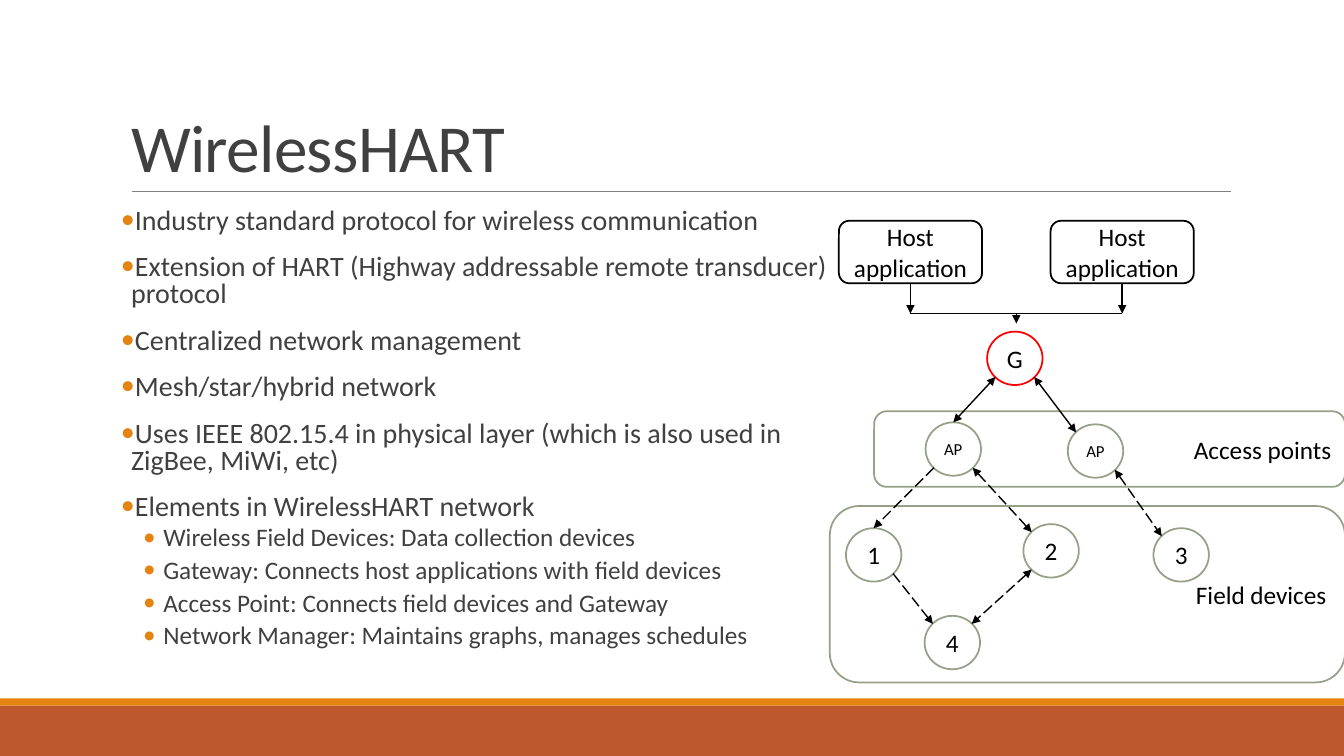
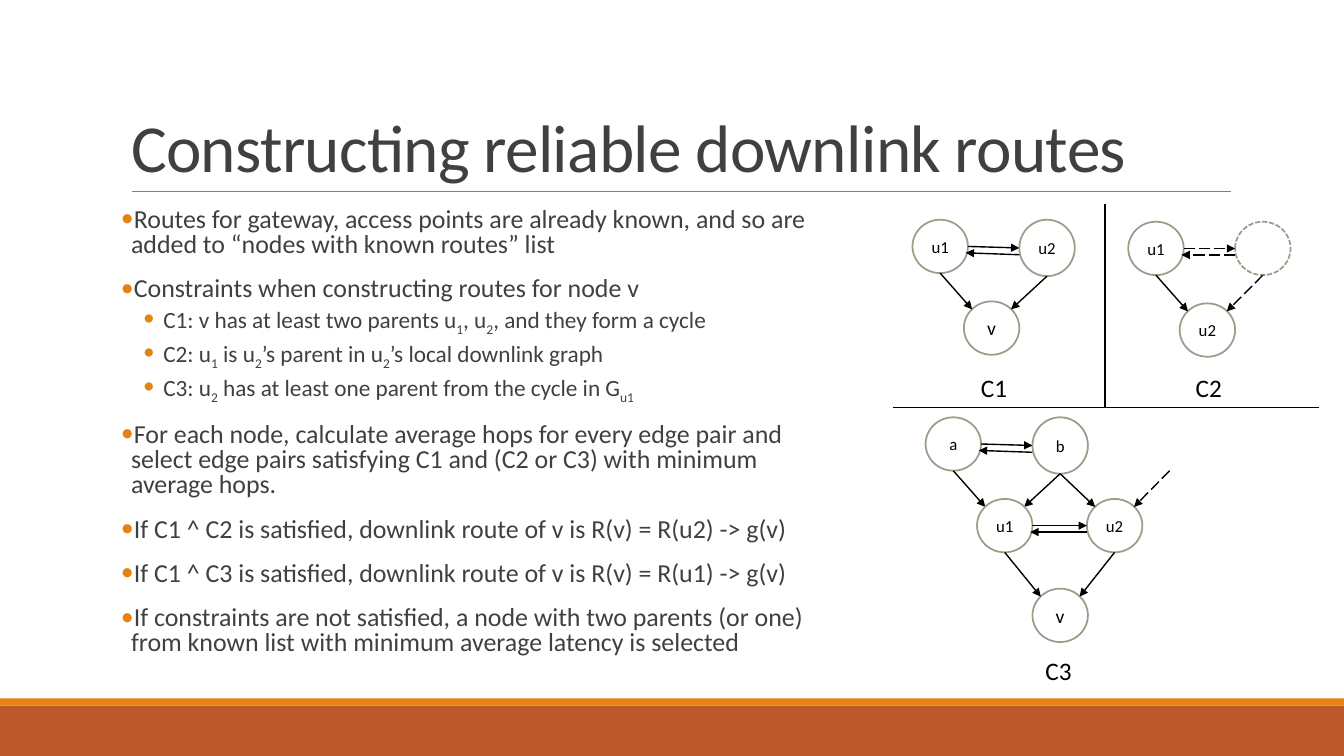
from lxml import etree
from pptx import Presentation
from pptx.dml.color import RGBColor
from pptx.enum.dml import MSO_LINE
from pptx.enum.shapes import MSO_CONNECTOR, MSO_SHAPE
from pptx.enum.text import MSO_ANCHOR, MSO_AUTO_SIZE, PP_ALIGN
from pptx.oxml.ns import qn
from pptx.util import Inches, Pt

BLACK = RGBColor(0x00, 0x00, 0x00)
WHITE = RGBColor(0xFF, 0xFF, 0xFF)
RED = RGBColor(0xFF, 0x00, 0x00)
GRAY = RGBColor(0x80, 0x80, 0x80)
CHARCOAL = RGBColor(0x40, 0x40, 0x40)
SAGE = RGBColor(0x94, 0xA0, 0x88)
ORANGE = RGBColor(0xE4, 0x83, 0x12)
RUST = RGBColor(0xBD, 0x58, 0x2C)

OVAL, RECTANGLE, ROUNDED = MSO_SHAPE.OVAL, MSO_SHAPE.RECTANGLE, MSO_SHAPE.ROUNDED_RECTANGLE
STRAIGHT = MSO_CONNECTOR.STRAIGHT
LONG_DASH, SHORT_DASH = MSO_LINE.LONG_DASH, MSO_LINE.SQUARE_DOT
LEFT, CENTER, RIGHT = PP_ALIGN.LEFT, PP_ALIGN.CENTER, PP_ALIGN.RIGHT
TOP, MIDDLE, BOTTOM = MSO_ANCHOR.TOP, MSO_ANCHOR.MIDDLE, MSO_ANCHOR.BOTTOM
NO_FIT = MSO_AUTO_SIZE.NONE

FONT = "Calibri"
NODE_WIDTH, NODE_HEIGHT = 0.55, 0.53
SITES = {
    "top": (0.5, 0), "bottom": (0.5, 1), "left": (0, 0.5), "right": (1, 0.5),
    "top left": (0.15, 0.15), "top right": (0.85, 0.15),
    "bottom left": (0.15, 0.85), "bottom right": (0.85, 0.85),
    "low left": (0, 0.62), "low right": (0.96, 0.62),
}
LEVELS = [
    {"margin": 0.1, "hang": 0.1, "before": 12, "after": 2},
    {"margin": 0.42, "hang": 0.2, "before": 2, "after": 4},
]


def apply(target, values):
    for name, value in values.items():
        setattr(target, name, value)


def point(shape, site):
    across, down = SITES[site]
    return (shape.left.inches + across * shape.width.inches,
            shape.top.inches + down * shape.height.inches)


class Slides:
    """Holds the deck, its style and the current page."""

    def __init__(self):
        self.deck = Presentation()
        apply(self.deck, {"slide_width": Inches(13.33), "slide_height": Inches(7.5)})
        self.layout = self.deck.slide_layouts[1]
        self.page = None

    def add_page(self, title, body_size, items):
        first = self.page is None
        self.page = self.deck.slides.add_slide(self.layout)
        if first:
            self.add_frame()
        self.add_title(title)
        self.add_list(body_size, items)

    def add_frame(self):
        parts = [
            self.add_box(RECTANGLE, (0, 7, 13.33, 0.5), fill=RUST, outline=None),
            self.add_box(RECTANGLE, (0, 6.93, 13.33, 0.07), fill=ORANGE, outline=None),
            self.add_line((1.31, 1.9), (12.21, 1.9), color=GRAY, width=0.5),
        ]
        for part in parts:
            self.layout.shapes.element.append(part.element)

    def place(self, shape, area):
        apply(shape, dict(zip(("left", "top", "width", "height"), map(Inches, area))))

    def add_span(self, para, text, size, color=BLACK):
        span = para.add_run()
        span.text = text
        apply(span.font, {"name": FONT, "size": Pt(size)})
        span.font.color.rgb = color
        return span

    def add_title(self, text):
        box = self.page.shapes.title
        self.place(box, (1.2, 0.31, 11, 1.59))
        apply(box.text_frame, {"vertical_anchor": BOTTOM, "auto_size": NO_FIT})
        para = box.text_frame.paragraphs[0]
        apply(para, {"alignment": LEFT, "line_spacing": 0.85})
        span = self.add_span(para, text, 48, CHARCOAL)
        span._r.get_or_add_rPr().set("spc", "-50")

    def add_list(self, sizes, items):
        box = self.page.placeholders[1]
        self.place(box, (1.2, 2.02, 7.06, 4.8))
        frame = box.text_frame
        apply(frame, {"margin_left": 0, "margin_right": 0, "vertical_anchor": TOP,
                      "auto_size": NO_FIT, "word_wrap": True})
        for index, (level, text) in enumerate(items):
            para = frame.add_paragraph() if index else frame.paragraphs[0]
            self.format_item(para, level)
            for part, words in enumerate(text.split("|")):
                span = self.add_span(para, words, sizes[level], CHARCOAL)
                if part % 2:
                    span._r.get_or_add_rPr().set("baseline", "-25000")

    def format_item(self, para, level):
        style = LEVELS[level]
        apply(para, {"level": level, "alignment": LEFT, "line_spacing": 0.8,
                     "space_before": Pt(style["before"]), "space_after": Pt(style["after"])})
        properties = para._p.get_or_add_pPr()
        properties.set("marL", str(Inches(style["margin"])))
        properties.set("indent", str(-Inches(style["hang"])))
        color = etree.SubElement(properties, qn("a:buClr"))
        etree.SubElement(color, qn("a:srgbClr"), val=str(ORANGE))
        etree.SubElement(properties, qn("a:buFont"), typeface=FONT)
        etree.SubElement(properties, qn("a:buChar"), char="•")

    def add_box(self, kind, area, text="", size=18, fill=WHITE, outline=SAGE,
                align=CENTER, dash=None):
        box = self.page.shapes.add_shape(kind, *map(Inches, area))
        box.shadow.inherit = False
        box.fill.solid()
        box.fill.fore_color.rgb = fill
        if outline is None:
            box.line.fill.background()
        else:
            box.line.color.rgb = outline
            apply(box.line, {"width": Pt(1.25), "dash_style": dash})
        if text:
            apply(box.text_frame, {"vertical_anchor": MIDDLE, "word_wrap": True})
            para = box.text_frame.paragraphs[0]
            para.alignment = align
            self.add_span(para, text, size)
        return box

    def add_node(self, left, top, text="", size=18, height=NODE_HEIGHT, **style):
        return self.add_box(OVAL, (left, top, NODE_WIDTH, height), text, size, **style)

    def add_label(self, left, top, text):
        box = self.page.shapes.add_textbox(*map(Inches, (left, top, 0.51, 0.4)))
        box.text_frame.word_wrap = False
        self.add_span(box.text_frame.paragraphs[0], text, 18)

    def add_line(self, start, end, arrows=(), dash=None, color=BLACK, width=1):
        line = self.page.shapes.add_connector(STRAIGHT, *map(Inches, start + end))
        line.line.color.rgb = color
        apply(line.line, {"width": Pt(width), "dash_style": dash})
        properties = line.element.spPr
        for arrow in arrows:
            etree.SubElement(properties.find(qn("a:ln")), qn(f"a:{arrow}"), type="triangle")
        etree.SubElement(properties, qn("a:effectLst"))
        return line

    def add_arrow(self, start, end, dash=None, both=False):
        self.add_line(start, end, ("headEnd", "tailEnd") if both else ("tailEnd",), dash)

    def join(self, first, first_site, second, second_site, **style):
        self.add_arrow(point(first, first_site), point(second, second_site), **style)

    def add_cycle(self, left, top, names, gap=1.06, shift=0.51, drop=0.81,
                  right_height=NODE_HEIGHT, child_size=12, dash=None):
        first, second, child = names
        one = self.add_node(left, top, first, 12)
        two = self.add_node(left + gap, top, second, 12, right_height,
                            dash=SHORT_DASH if dash else None)
        below = self.add_node(left + shift, top + drop, child, child_size)
        self.join(one, "right", two, "left", dash=dash)
        self.join(two, "low left", one, "low right", dash=dash)
        self.join(one, "bottom", below, "top left")
        self.join(two, "bottom", below, "top right", dash=dash)
        return one, two, below


def add_network(slides):
    slides.add_page("WirelessHART", (20, 18), [
        (0, "Industry standard protocol for wireless communication"),
        (0, "Extension of HART (Highway addressable remote transducer) protocol"),
        (0, "Centralized network management"),
        (0, "Mesh/star/hybrid network"),
        (0, "Uses IEEE 802.15.4 in physical layer (which is also used in ZigBee, MiWi, etc)"),
        (0, "Elements in WirelessHART network"),
        (1, "Wireless Field Devices: Data collection devices"),
        (1, "Gateway: Connects host applications with field devices"),
        (1, "Access Point: Connects field devices and Gateway"),
        (1, "Network Manager: Maintains graphs, manages schedules"),
    ])
    slides.add_box(ROUNDED, (8.23, 5.02, 5.11, 1.75), "Field devices", align=RIGHT)
    slides.add_box(ROUNDED, (8.67, 4.08, 4.67, 0.75), "Access points", align=RIGHT)

    bus = 3.11
    for left in (8.32, 10.42):
        host = slides.add_box(ROUNDED, (left, 2.19, 1.42, 0.62), "Host application",
                              outline=BLACK)
        start = point(host, "bottom")
        slides.add_arrow(start, (start[0], bus))
    slides.add_line((9.03, bus), (11.13, bus))
    slides.add_arrow((10.08, bus), (10.08, 3.21))

    gateway = slides.add_node(9.79, 3.29, "G", outline=RED)
    left_access = slides.add_node(9.18, 4.19, "AP", 12)
    right_access = slides.add_node(10.59, 4.21, "AP", 12)
    places = [(8.39, 5.24), (10.15, 5.2), (11.44, 5.24), (9.17, 6.11)]
    one, two, three, four = [slides.add_node(*place, str(number))
                             for number, place in enumerate(places, 1)]
    for first, first_site, second, second_site, dash, both in [
        (gateway, "bottom left", left_access, "top", None, True),
        (gateway, "bottom right", right_access, "top left", None, True),
        (right_access, "bottom right", three, "top left", LONG_DASH, True),
        (left_access, "bottom right", two, "top left", LONG_DASH, True),
        (two, "bottom left", four, "top right", LONG_DASH, True),
        (left_access, "bottom left", one, "top", LONG_DASH, False),
        (one, "bottom right", four, "top left", LONG_DASH, False),
    ]:
        slides.join(first, first_site, second, second_site, dash=dash, both=both)


def add_routes(slides):
    slides.add_page("Constructing reliable downlink routes", (18.5, 16.6), [
        (0, "Routes for gateway, access points are already known, and so are added to "
            "“nodes with known routes” list"),
        (0, "Constraints when constructing routes for node v"),
        (1, "C1: v has at least two parents u|1|, u|2|, and they form a cycle"),
        (1, "C2: u|1| is u|2|’s parent in u|2|’s local downlink graph"),
        (1, "C3: u|2| has at least one parent from the cycle in G|u1"),
        (0, "For each node, calculate average hops for every edge pair and select edge "
            "pairs satisfying C1 and (C2 or C3) with minimum average hops."),
        (0, "If C1 ^ C2 is satisfied, downlink route of v is R(v) = R(u2) -> g(v)"),
        (0, "If C1 ^ C3 is satisfied, downlink route of v is R(v) = R(u1) -> g(v)"),
        (0, "If constraints are not satisfied, a node with two parents (or one) from "
            "known list with minimum average latency is selected"),
    ])
    slides.add_cycle(9.05, 2.18, ("u1", "u2", "v"), right_height=0.56, child_size=14)
    slides.add_cycle(11.19, 2.2, ("u1", "", "u2"), dash=LONG_DASH)
    parent = slides.add_cycle(9.18, 4.14, ("a", "b", ""), right_height=0.56)[1:]
    upper, placeholder = parent
    placeholder.element.getparent().remove(placeholder.element)
    second = slides.add_cycle(9.69, 4.95, ("u1", "u2", "v"), gap=1.09, shift=0.55,
                              drop=0.89, child_size=14)[1]
    slides.join(upper, "bottom", second, "top left")
    slides.add_arrow((11.6, 4.67), point(second, "top right"), dash=LONG_DASH)

    for left, top, text in [(9.63, 3.64, "C1"), (11.76, 3.64, "C2"), (10.27, 6.45, "C3")]:
        slides.add_label(left, top, text)
    slides.add_line((8.86, 4.04), (13.08, 4.04))
    slides.add_line((10.96, 2.02), (10.96, 4.04))


def main():
    slides = Slides()
    add_network(slides)
    add_routes(slides)
    slides.deck.save("out.pptx")


if __name__ == "__main__":
    main()
